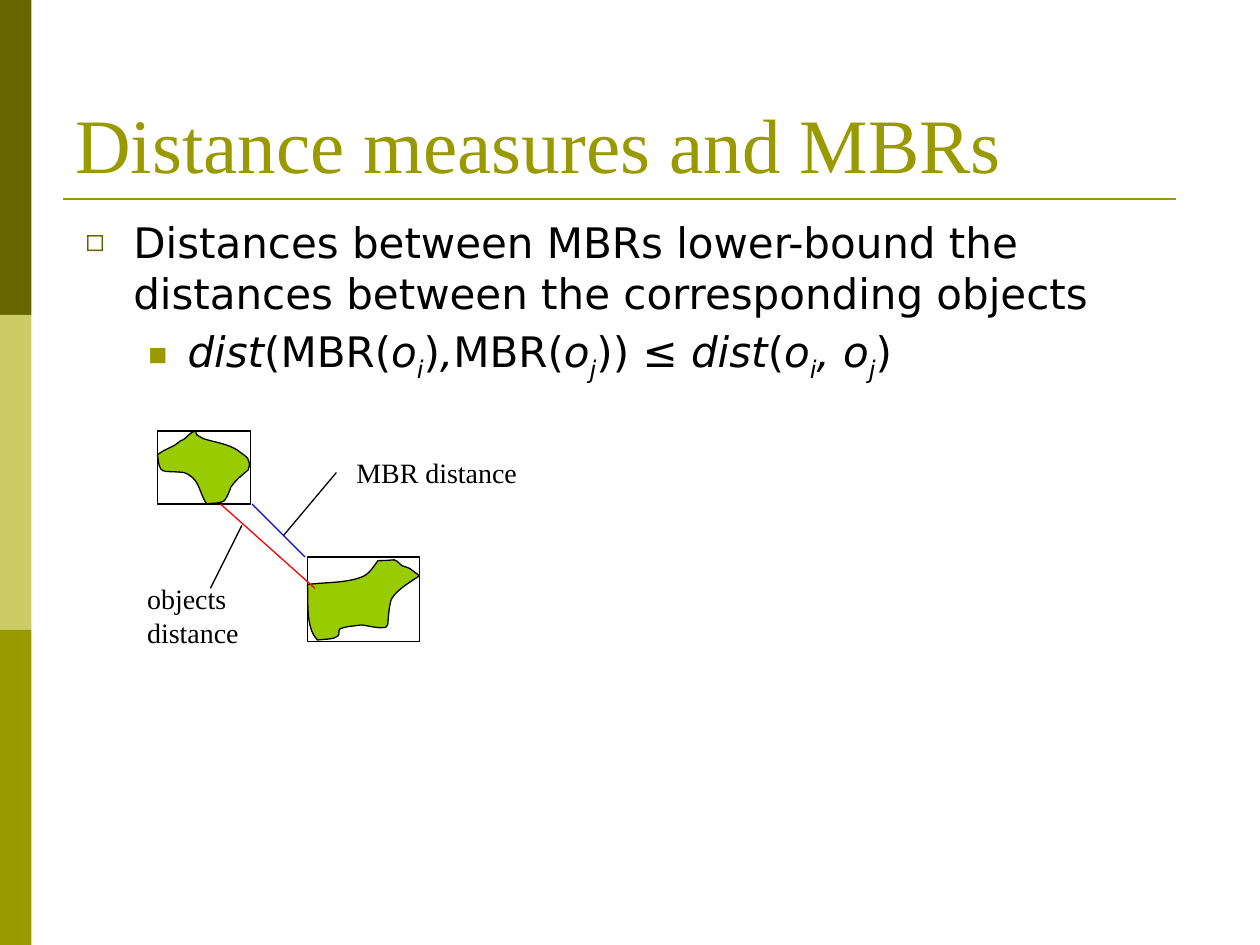
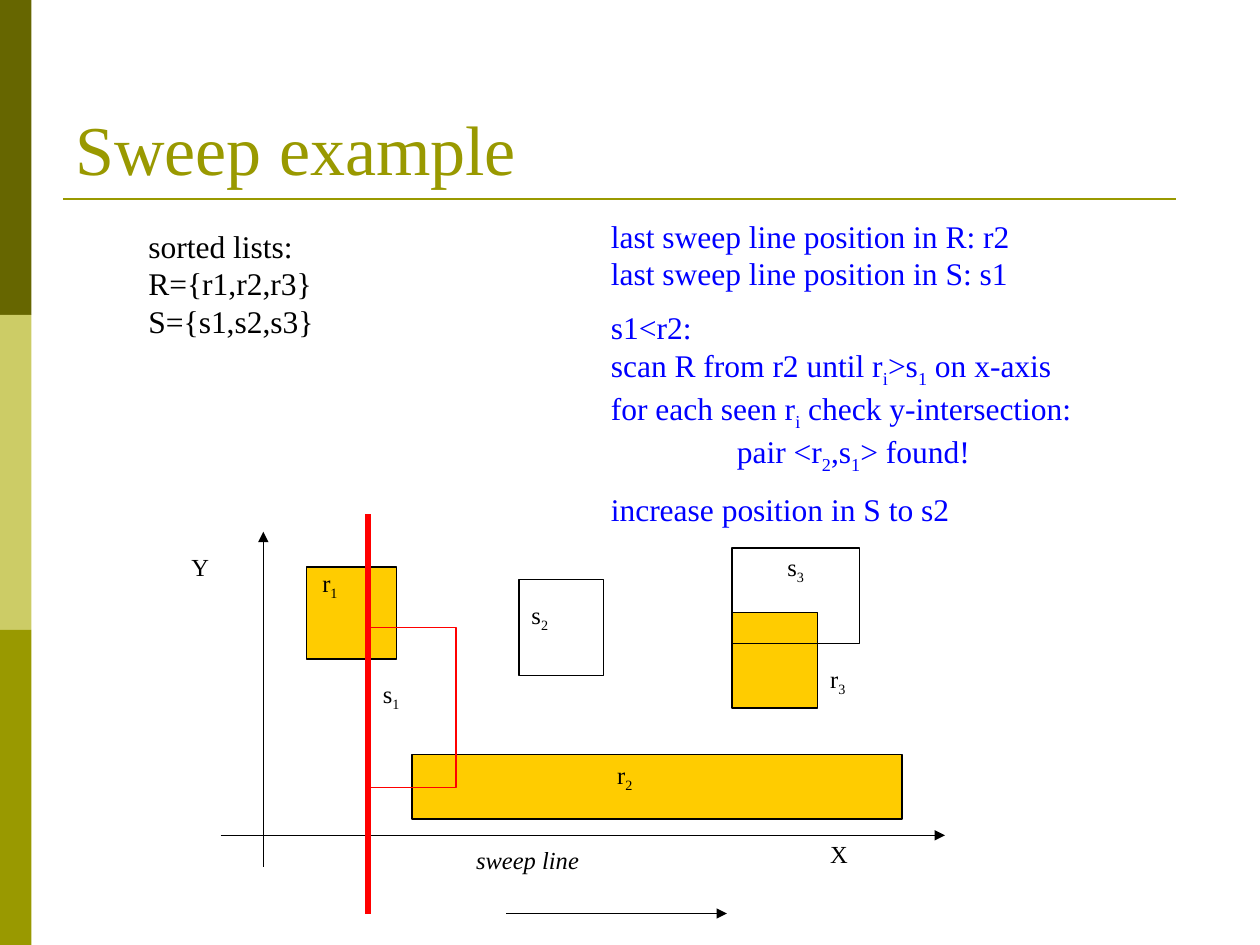
"""Build two slides on spatial distances between MBRs and the plane sweep join."""
from dataclasses import dataclass

from lxml import etree
from pptx import Presentation
from pptx import util as u
from pptx.dml.color import RGBColor
from pptx.enum import shapes, text
from pptx.oxml.ns import qn


@dataclass(frozen=True)
class Theme:
    serif: str = "Times New Roman"
    sans: str = "DejaVu Sans"
    dark_olive: str = "666600"
    pale_olive: str = "CCCC66"
    olive: str = "999900"
    black: str = "000000"
    blue: str = "0000FF"
    red: str = "FF0000"
    green: str = "99CC00"
    amber: str = "FFCC00"
    body_size: int = 24
    note_size: int = 18
    caption_size: int = 16
    label_size: int = 14
    hairline: float = 0.75
    rule: float = 1.5
    sweep: float = 3


THEME = Theme()
BULLETS = [("◻", THEME.dark_olive, 0.38, 0.38), ("■", THEME.olive, 0.81, 0.31)]

UPPER_OBJECT = [
    (1.55, 3.42),
    (1.49, 3.44), (1.49, 3.48), (1.43, 3.5),
    (1.38, 3.55), (1.31, 3.56), (1.25, 3.61),
    (1.27, 3.78), (1.28, 3.73), (1.46, 3.75),
    (1.59, 3.8), (1.57, 3.89), (1.64, 4),
    (1.68, 3.99), (1.73, 4), (1.77, 3.98),
    (1.79, 3.98), (1.83, 3.88), (1.83, 3.87),
    (1.87, 3.81), (1.91, 3.78), (1.97, 3.73),
    (2, 3.64), (1.96, 3.63), (1.88, 3.57),
    (1.8, 3.52), (1.7, 3.51), (1.61, 3.48),
    (1.55, 3.44), (1.57, 3.47), (1.55, 3.42),
]
LOWER_OBJECT = [
    (3, 4.45),
    (2.97, 4.49), (2.93, 4.56), (2.87, 4.58),
    (2.74, 4.63), (2.58, 4.62), (2.44, 4.64),
    (2.45, 4.76), (2.42, 4.98), (2.52, 5.08),
    (2.58, 5.07), (2.64, 5.08), (2.68, 5.05),
    (2.7, 5.04), (2.68, 5), (2.7, 4.99),
    (2.75, 4.97), (2.81, 4.97), (2.87, 4.96),
    (2.94, 4.97), (3, 4.99), (3.06, 4.98),
    (3.08, 4.97), (3.08, 4.95), (3.08, 4.93),
    (3.08, 4.92), (3.09, 4.78), (3.11, 4.75),
    (3.15, 4.68), (3.27, 4.61), (3.33, 4.57),
    (3.23, 4.5), (3.28, 4.52), (3.19, 4.49),
    (3.11, 4.42), (3.17, 4.45), (3, 4.45),
]


def rgb(colour):
    return RGBColor.from_string(colour)


def paint(shape, fill, line):
    shape.shadow.inherit = False
    if fill:
        shape.fill.solid()
        shape.fill.fore_color.rgb = rgb(fill)
    else:
        shape.fill.background()
    if line:
        shape.line.color.rgb = rgb(line)
        shape.line.width = u.Pt(THEME.hairline)
    else:
        shape.line.fill.background()


def add_rectangle(slide, left, top, width, height, fill=None, line=THEME.black):
    shape = slide.shapes.add_shape(
        shapes.MSO_SHAPE.RECTANGLE, *map(u.Inches, (left, top, width, height)))
    paint(shape, fill, line)


def add_line(slide, start, end, colour=THEME.black, width=THEME.hairline, arrow=False):
    connector = slide.shapes.add_connector(
        shapes.MSO_CONNECTOR.STRAIGHT, *map(u.Inches, (*start, *end)))
    connector.line.color.rgb = rgb(colour)
    connector.line.width = u.Pt(width)
    properties = connector._element.spPr
    if arrow:
        etree.SubElement(properties.find(qn("a:ln")), qn("a:tailEnd"), type="triangle")
    etree.SubElement(properties, qn("a:effectLst"))


def bend_segments(shape):
    """Join every three straight segments of an outline into one cubic curve."""
    segments = list(shape._element.iter(qn("a:lnTo")))
    for first in range(0, len(segments), 3):
        curve = etree.Element(qn("a:cubicBezTo"))
        segments[first].addprevious(curve)
        for segment in segments[first:first + 3]:
            curve.append(segment[0])
            segment.getparent().remove(segment)


def add_object(slide, points):
    outline = [(u.Inches(x), u.Inches(y)) for x, y in points]
    builder = slide.shapes.build_freeform(*outline[0])
    builder.add_line_segments(outline[1:], close=True)
    shape = builder.convert_to_shape()
    bend_segments(shape)
    paint(shape, THEME.green, THEME.black)


def add_run(paragraph, words, size, font, colour, italic, subscript):
    run = paragraph.add_run()
    run.text = words
    run.font.size = u.Pt(size)
    run.font.name = font
    run.font.color.rgb = rgb(colour)
    run.font.italic = italic
    if subscript:
        run.font._element.set("baseline", "-25000")


def add_tab_stop(paragraph, position):
    stops = etree.SubElement(paragraph._p.get_or_add_pPr(), qn("a:tabLst"))
    etree.SubElement(stops, qn("a:tab"), pos=str(u.Inches(position)), algn="l")


def write(paragraph, markup, size, font, colour):
    """Write markup where *x* is italic and _x sets one letter as subscript."""
    if "\t" in markup:
        add_tab_stop(paragraph, 1)
    for index, span in enumerate(markup.split("*")):
        for order, part in enumerate(span.split("_")):
            pieces = [(part[:1], True), (part[1:], False)] if order else [(part, False)]
            for piece, subscript in pieces:
                for number, words in enumerate(piece.split("\n")):
                    if number:
                        paragraph.add_line_break()
                    if words:
                        add_run(paragraph, words, size, font, colour,
                                index % 2 == 1, subscript)
    for line_break in paragraph._p.findall(qn("a:br")):
        etree.SubElement(line_break, qn("a:rPr"), sz=str(size * 100))


def add_text(slide, at, paragraphs, size, font=THEME.serif, colour=THEME.black,
             wrap=False, grow=True, gap=0):
    box = slide.shapes.add_textbox(*map(u.Inches, at))
    frame = box.text_frame
    frame.word_wrap = wrap
    frame.auto_size = (text.MSO_AUTO_SIZE.SHAPE_TO_FIT_TEXT if grow
                       else text.MSO_AUTO_SIZE.NONE)
    for index, markup in enumerate(paragraphs):
        paragraph = frame.add_paragraph() if index else frame.paragraphs[0]
        write(paragraph, markup, size, font, colour)
        if index and gap:
            paragraph.space_before = u.Pt(gap)
    return frame


def add_bullet(paragraph, level):
    character, colour, margin, hanging = BULLETS[level]
    paragraph.level = level
    properties = paragraph._p.get_or_add_pPr()
    properties.set("marL", str(u.Inches(margin)))
    properties.set("indent", str(-u.Inches(hanging)))
    bullet_colour = etree.SubElement(properties, qn("a:buClr"))
    etree.SubElement(bullet_colour, qn("a:srgbClr"), val=colour)
    etree.SubElement(properties, qn("a:buSzPct"), val="75000")
    etree.SubElement(properties, qn("a:buFont"), typeface=THEME.serif)
    etree.SubElement(properties, qn("a:buChar"), char=character)


def add_body(slide, paragraphs):
    frame = add_text(slide, (0.58, 1.67, 9.08, 5.25), paragraphs, THEME.body_size,
                     THEME.sans, wrap=True, grow=False, gap=4.8)
    for level, paragraph in enumerate(frame.paragraphs):
        add_bullet(paragraph, level)


def add_label(slide, left, top, markup, width=0.34):
    add_text(slide, (left, top, width, 0.33), [markup], THEME.label_size)


def new_slide(presentation, title, title_size):
    slide = presentation.slides.add_slide(presentation.slide_layouts[6])
    for index, colour in enumerate((THEME.dark_olive, THEME.pale_olive, THEME.olive)):
        add_rectangle(slide, 0, 2.5 * index, 0.25, 2.5, colour, None)
    add_line(slide, (0.5, 1.58), (9.33, 1.58), THEME.olive, THEME.rule)
    frame = add_text(slide, (0.5, 0.3, 9, 1.25), [title], title_size,
                     colour=THEME.olive, wrap=True, grow=False)
    frame.vertical_anchor = text.MSO_ANCHOR.BOTTOM
    return slide


def build_distances(presentation):
    slide = new_slide(presentation, "Distance measures and MBRs", 44)
    add_body(slide, [
        "Distances between MBRs lower-bound the distances between the corresponding objects",
        "*dist*(MBR(*o_i*)*,*MBR(*o_j*)) ≤ *dist*(*o_i, o_j*)",
    ])
    add_rectangle(slide, 1.25, 3.42, 0.74, 0.58)
    add_object(slide, UPPER_OBJECT)
    add_rectangle(slide, 2.44, 4.42, 0.89, 0.67)
    add_object(slide, LOWER_OBJECT)
    add_line(slide, (2, 4), (2.42, 4.42), THEME.blue)
    add_line(slide, (2.67, 3.75), (2.25, 4.25))
    add_text(slide, (2.73, 3.57, 1.48, 0.37), ["MBR distance"], THEME.caption_size)
    add_line(slide, (1.75, 4), (2.5, 4.67), THEME.red)
    add_line(slide, (1.92, 4.17), (1.67, 4.67))
    add_text(slide, (1.07, 4.57, 0.93, 0.64), ["objects\ndistance"], THEME.caption_size)


def build_sweep(presentation):
    slide = new_slide(presentation, "Sweep example", 40)
    add_text(slide, (4.75, 1.67, 5, 3.41), [
        "last sweep line position in R: r2\nlast sweep line position in S: s1",
        "s1<r2:\nscan R from r2 until r_i>s_1 on x-axis\n"
        "for each seen r_i check y-intersection:\n\tpair <r_2,s_1> found!",
        "increase position in S to s2",
    ], THEME.note_size, colour=THEME.blue, wrap=True, gap=9)
    add_text(slide, (1.08, 1.75, 4.33, 1),
             ["sorted lists:", "R={r1,r2,r3}", "S={s1,s2,s3}"],
             THEME.note_size, wrap=True)
    add_line(slide, (1.75, 6.63), (7.5, 6.63), arrow=True)
    add_line(slide, (2.09, 6.88), (2.09, 4.22), arrow=True)
    for left, top, width, height, fill in (
            (2.43, 4.5, 0.72, 0.73, THEME.amber),
            (3.27, 5.99, 3.89, 0.51, THEME.amber),
            (4.12, 4.6, 0.67, 0.76, None),
            (5.81, 4.86, 0.68, 0.76, THEME.amber),
            (5.81, 4.35, 1.01, 0.76, None)):
        add_rectangle(slide, left, top, width, height, fill)
    for left, top, markup in (
            (2.46, 4.46, "r_1"), (2.94, 5.34, "s_1"), (4.8, 5.98, "r_2"),
            (4.12, 4.71, "s_2"), (6.49, 5.22, "r_3"), (6.15, 4.33, "s_3"),
            (1.42, 4.33, "Y"), (6.49, 6.61, "X")):
        add_label(slide, left, top, markup)
    add_label(slide, 3.68, 6.66, "*sweep line*", 1.02)
    add_rectangle(slide, 2.94, 4.98, 0.68, 1.27, line=THEME.red)
    add_line(slide, (4.02, 7.25), (5.77, 7.25), arrow=True)
    add_line(slide, (2.92, 4.08), (2.92, 7.25), THEME.red, THEME.sweep)


def main():
    presentation = Presentation()
    presentation.slide_width = u.Inches(10)
    presentation.slide_height = u.Inches(7.5)
    build_distances(presentation)
    build_sweep(presentation)
    presentation.save("out.pptx")


if __name__ == "__main__":
    main()
